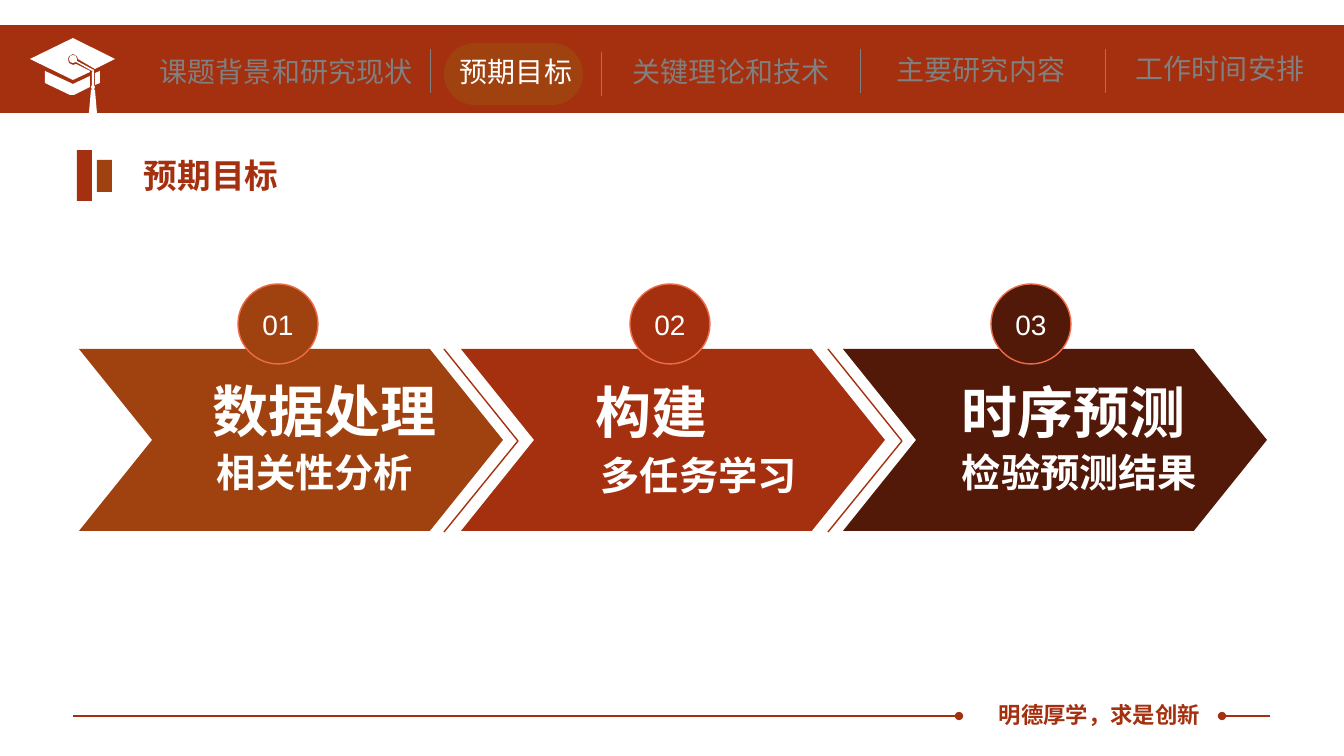
"""Build the expected-goals slide with its navigation bar and three-step chevrons."""
from pptx import Presentation
from pptx.dml.color import RGBColor
from pptx.enum.shapes import MSO_CONNECTOR, MSO_SHAPE
from pptx.enum.text import MSO_ANCHOR, PP_ALIGN
from pptx.oxml.ns import qn
from pptx.oxml.xmlchemy import OxmlElement
from pptx.util import Pt

SCALE = 914400 / 100.8
COLORS = {"red": "A5300F", "rust": "A04210", "dark": "521808",
          "coral": "EE6B48", "grey": "808080", "white": "FFFFFF"}
CJK_FONT = "Noto Sans CJK SC"

CAP_PARTS = [
    [(95, 85), (100, 83), (100, 71), (95, 73)],
    [(45, 71), (45, 83), (70, 95), (74, 95), (90, 87), (90, 76), (73, 84)],
    [(94, 70), (92, 69), (77, 61), (77, 59), (76, 56), (73, 55), (70, 56),
     (69, 59), (70, 62), (73, 63), (76, 62), (92, 71)],
    [(115, 59), (73, 38), (30, 59), (73, 80), (90, 72), (90, 71), (76, 64),
     (73, 65), (69, 63), (68, 59), (69, 56), (73, 54), (77, 56), (78, 59), (95, 69)],
    [(94, 70), (94, 85), (95, 87), (94, 90), (95, 90), (97, 113), (89, 113),
     (91, 90), (92, 90), (91, 87), (92, 85), (92, 72)],
]
NAV = [("课题背景和研究现状", 150, 50, 275, "grey"),
       ("预期目标", 450, 50, 133, "white"),
       ("关键理论和技术", 623, 50, 222, "grey"),
       ("主要研究内容", 887, 48, 190, "grey"),
       ("工作时间安排", 1126, 47, 190, "grey")]
DIVIDERS = [(430, 49), (601, 52), (860, 49), (1105, 49)]
STEPS = [
    ("rust", 238, ("数据处理", 203, 372, 247), ("相关性分析", 207, 443, 219)),
    ("red", 630, ("构建", 586, 373, 133), ("多任务学习", 591, 446, 219)),
    ("dark", 991, ("时序预测", 952, 373, 247), ("检验预测结果", 952, 443, 258)),
]


def px(*lengths):
    """Turn pixel lengths into EMU."""
    return [round(length * SCALE) for length in lengths]


def rgb(color):
    """Look up a named colour."""
    return RGBColor.from_string(COLORS[color])


def paint(shape, fill, outline=None):
    """Give a shape a flat fill, an optional outline and no shadow."""
    shape.shadow.inherit = False
    shape.fill.solid()
    shape.fill.fore_color.rgb = rgb(fill)
    if outline:
        shape.line.color.rgb = rgb(outline)
        shape.line.width = Pt(1)
    else:
        shape.line.fill.background()


def add_block(slide, preset, box, fill, outline=None, adjustment=None):
    """Add a filled preset shape."""
    block = slide.shapes.add_shape(preset, *px(*box))
    paint(block, fill, outline)
    if adjustment is not None:
        block.adjustments[0] = adjustment
    return block


def write(frame, text, size, color, bold=False, font="Arial"):
    """Write one paragraph in a text frame."""
    paragraph = frame.paragraphs[0]
    paragraph.text = text
    paragraph.font.size = Pt(size)
    paragraph.font.bold = bold
    paragraph.font.color.rgb = rgb(color)
    paragraph.font.name = font
    east_asian = OxmlElement("a:ea")
    east_asian.set("typeface", CJK_FONT)
    paragraph._p.pPr.find(qn("a:defRPr")).append(east_asian)
    return paragraph


def add_label(slide, text, box, size, color, bold=True, font="Arial"):
    """Add a one-line text box."""
    frame = slide.shapes.add_textbox(*px(*box)).text_frame
    frame.word_wrap = False
    write(frame, text, size, color, bold, font)


def add_rule(slide, start, end, color, width, dot=None):
    """Add a straight line, with a dot at its headEnd or tailEnd if named."""
    rule = slide.shapes.add_connector(MSO_CONNECTOR.STRAIGHT, *px(*start, *end))
    rule.line.color.rgb = rgb(color)
    rule.line.width = Pt(width)
    if dot:
        ending = OxmlElement(f"a:{dot}")
        ending.set("type", "oval")
        rule.line._get_or_add_ln().append(ending)
    rule._element.spPr.append(OxmlElement("a:effectLst"))


def add_cap(slide):
    """Draw the graduation cap as one outline of several parts."""
    builder = slide.shapes.build_freeform(*CAP_PARTS[0][0], scale=SCALE)
    for index, (first, *rest) in enumerate(CAP_PARTS):
        if index:
            builder.move_to(*first)
        builder.add_line_segments(rest, close=True)
    paint(builder.convert_to_shape(), "white")


def add_navigation(slide):
    """Add the top bar with the current section highlighted."""
    add_block(slide, MSO_SHAPE.RECTANGLE, (0, 25, 1344, 88), "red")
    add_cap(slide)
    add_block(slide, MSO_SHAPE.ROUNDED_RECTANGLE, (444, 43, 139, 62), "rust", adjustment=0.5)
    for section, left, top, width, color in NAV:
        add_label(slide, section, (left, top, width, 44), 20, color, False, CJK_FONT)
    for x, top in DIVIDERS:
        add_rule(slide, (x, top), (x, top + 44), "grey", 0.5)


def add_heading(slide):
    """Add the section title and its two bars."""
    add_block(slide, MSO_SHAPE.RECTANGLE, (77, 150, 15, 51), "red")
    add_block(slide, MSO_SHAPE.RECTANGLE, (97, 160, 15, 32), "rust")
    add_label(slide, "预期目标", (134, 150, 156, 50), 24, "red")


def add_steps(slide):
    """Add the numbered chevrons and the thin angles between them."""
    for index, (color, badge_left, goal, detail) in enumerate(STEPS):
        add_block(slide, MSO_SHAPE.CHEVRON, (79 + 382 * index, 349, 424, 182),
                  color, adjustment=0.402)
        for (text, left, top, width), height, size in ((goal, 78, 40), (detail, 57, 28)):
            add_label(slide, text, (left, top, width, height), size, "white")
        badge = add_block(slide, MSO_SHAPE.OVAL, (badge_left, 284, 80, 80), color, "coral")
        badge.text_frame.vertical_anchor = MSO_ANCHOR.MIDDLE
        number = write(badge.text_frame, f"{index + 1:02}", 20, "white")
        number.alignment = PP_ALIGN.CENTER
    for left in (444, 828):
        for end_y in (349, 532):
            add_rule(slide, (left + 74, 441), (left, end_y), "red", 1)


def add_footer(slide):
    """Add the motto between two dotted rules."""
    add_rule(slide, (73, 716), (959, 716), "red", 1.25, "tailEnd")
    add_label(slide, "明德厚学，求是创新", (989, 696, 224, 37), 16, "red")
    add_rule(slide, (1222, 716), (1270, 716), "red", 1.25, "headEnd")


def main():
    """Build and save the slide."""
    deck = Presentation()
    deck.slide_width, deck.slide_height = px(1344, 756)
    slide = deck.slides.add_slide(deck.slide_layouts[6])
    add_navigation(slide)
    add_heading(slide)
    add_steps(slide)
    add_footer(slide)
    deck.save("out.pptx")


main()
